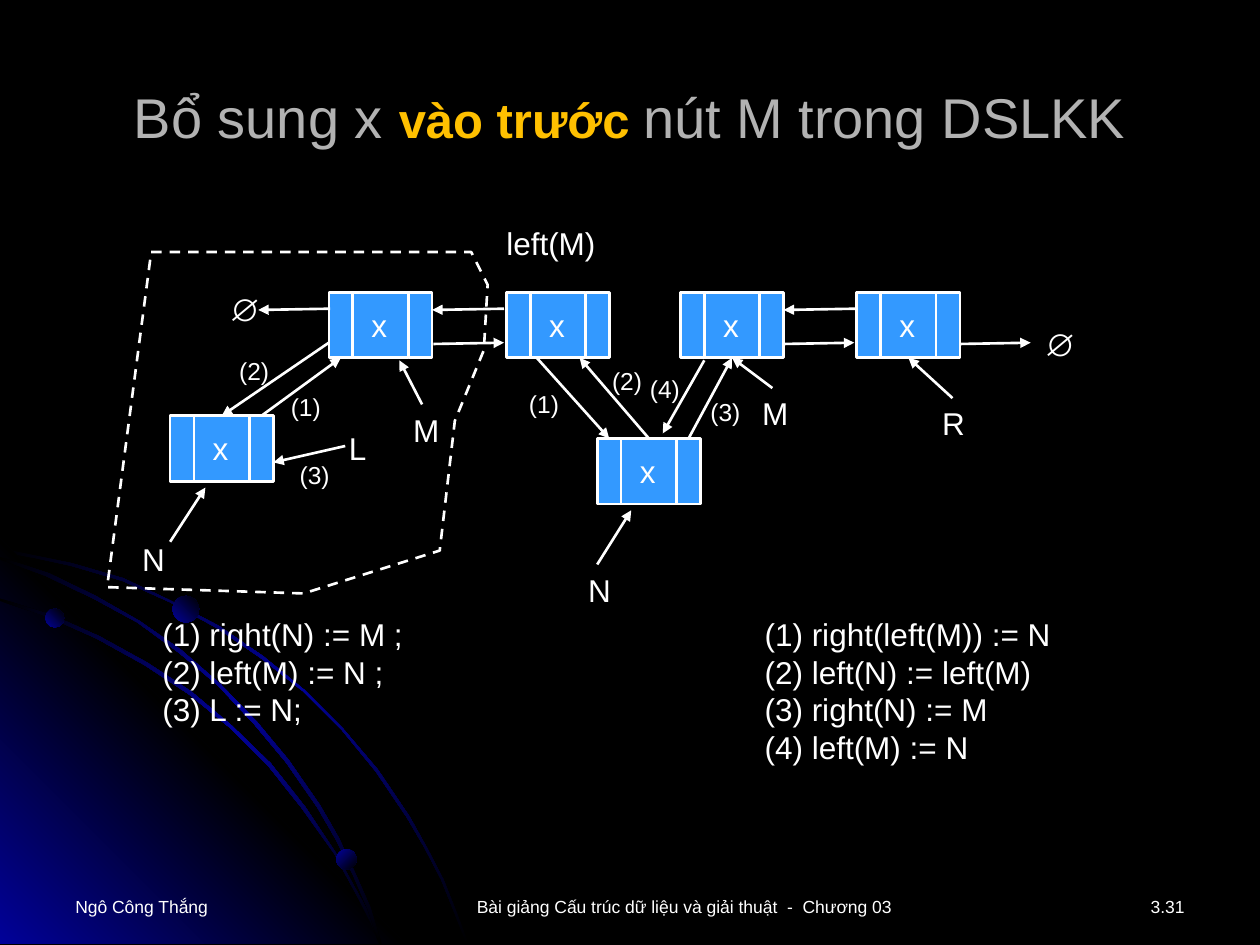
from typing import NamedTuple, Union

from lxml.etree import SubElement
from pptx import Presentation
from pptx.dml.color import RGBColor
from pptx.enum.dml import MSO_LINE
from pptx.enum.shapes import MSO_CONNECTOR, MSO_SHAPE
from pptx.enum.text import MSO_ANCHOR, PP_ALIGN
from pptx.oxml.ns import qn
from pptx.util import Inches, Pt

BLACK = RGBColor(0, 0, 0)
WHITE = RGBColor(0xFF, 0xFF, 0xFF)
NAVY = RGBColor(0x01, 0x01, 0x99)
BLUE = RGBColor(0x33, 0x99, 0xFF)
GRAY = RGBColor(0xB2, 0xB2, 0xB2)
GOLD = RGBColor(0xFF, 0xC0, 0x00)
LINE_WIDTH = Pt(1.5)
CELL_WIDTHS = (0.19, 0.44, 0.19)
NODE_HEIGHT = 0.52
LEFT, MIDDLE, RIGHT = range(3)
TOP_SIDE, BOTTOM_SIDE = 0, 2

Point = tuple[float, float]


class Run(NamedTuple):
    text: str
    size: float = 18
    color: RGBColor = WHITE
    bold: bool = False


class Joint(NamedTuple):
    """The middle of one side of a node's cell."""
    node: str
    cell: int
    side: int


class Arrow(NamedTuple):
    start: Union[Point, Joint]
    end: Union[Point, Joint]


class Label(NamedTuple):
    text: str
    left: float
    top: float
    width: float = 0.34
    height: float = 0.4
    size: float = 18
    align: PP_ALIGN = PP_ALIGN.LEFT


class Orb(NamedTuple):
    left: float
    top: float
    size: float
    angle: int


ARCS: list[list[Point]] = [
    [(0.57, 4.47), (0.28, 4.41), (0, 4.35), (0, 4.38), (0.28, 4.43), (0.56, 4.49),
     (0.97, 4.61), (1.35, 4.78), (1.73, 4.99), (2.08, 5.23), (2.41, 5.49), (2.71, 5.79),
     (2.98, 6.12), (3.23, 6.49), (3.37, 6.73), (3.5, 6.98), (3.6, 7.23), (3.7, 7.49),
     (3.72, 7.49), (3.62, 7.23), (3.52, 6.98), (3.39, 6.73), (3.25, 6.48), (3, 6.11),
     (2.72, 5.78), (2.42, 5.48), (2.09, 5.21), (1.74, 4.97), (1.36, 4.77), (0.98, 4.59)],
    [(2.85, 7.14), (2.94, 7.32), (3.01, 7.49), (3.03, 7.49), (2.96, 7.3), (2.86, 7.12),
     (2.66, 6.76), (2.42, 6.4), (2.15, 6.06), (1.84, 5.76), (1.52, 5.49), (1.17, 5.26),
     (0.79, 5.05), (0.41, 4.88), (0, 4.75), (0, 4.77), (0.39, 4.9), (0.77, 5.07),
     (1.15, 5.28), (1.5, 5.51), (1.83, 5.78), (2.13, 6.08), (2.4, 6.42), (2.65, 6.77)],
    [(0, 4.42), (0, 4.44), (0.36, 4.57), (0.74, 4.75), (1.09, 4.94), (1.42, 5.18),
     (1.73, 5.44), (2.02, 5.75), (2.27, 6.05), (2.52, 6.41), (2.67, 6.67), (2.8, 6.94),
     (2.92, 7.22), (3.01, 7.49), (3.03, 7.49), (2.94, 7.2), (2.82, 6.93), (2.69, 6.65),
     (2.54, 6.39), (2.29, 6.03), (2.04, 5.73), (1.75, 5.43), (1.44, 5.16), (1.11, 4.93),
     (0.76, 4.73), (0.39, 4.55)],
]
CORNER = [(3.22, 7.49), (0, 7.49), (0, 4.27)]
ORBS = [Orb(0.36, 4.83, 0.15, 315), Orb(2.67, 6.74, 0.16, 45), Orb(1.37, 4.73, 0.21, 315)]
HEAD_REGION = [(1.2, 2), (3.74, 2), (3.87, 2.26), (3.84, 2.78), (3.61, 3.34),
               (3.49, 4.37), (2.41, 4.71), (0.85, 4.66)]

NODES = {
    "first": (2.61, 2.32), "second": (4.02, 2.32), "third": (5.4, 2.32),
    "last": (6.8, 2.32), "new inner": (4.74, 3.48), "new head": (1.35, 3.3),
}
ARROWS = [
    *(Arrow((x, 2.73), (x + 0.56, 2.72)) for x in (3.44, 6.22, 7.62)),
    *(Arrow((x + 0.57, 2.45), (x, 2.46)) for x in (2.05, 3.43, 6.22)),
    Arrow((7.56, 3.16), Joint("last", MIDDLE, BOTTOM_SIDE)),
    Arrow((4.74, 4.48), (5.01, 4.05)),
    Arrow((6.13, 3.08), Joint("third", MIDDLE, BOTTOM_SIDE)),
    Arrow((4.26, 2.84), Joint("new inner", LEFT, TOP_SIDE)),
    Arrow(Joint("new inner", MIDDLE, TOP_SIDE), (4.6, 2.84)),
    Arrow(Joint("new inner", RIGHT, TOP_SIDE), Joint("third", MIDDLE, BOTTOM_SIDE)),
    Arrow((5.59, 2.86), (5.26, 3.44)),
    Arrow((1.35, 4.3), (1.63, 3.87)),
    Arrow((3.35, 3.21), (3.17, 2.86)),
    Arrow(Joint("new head", RIGHT, TOP_SIDE), Joint("first", LEFT, BOTTOM_SIDE)),
    Arrow((2.61, 2.72), Joint("new head", MIDDLE, TOP_SIDE)),
    Arrow((2.74, 3.54), (2.17, 3.67)),
]
STEPS = [("(1)", 4.1, 3.04), ("(2)", 4.76, 2.86), ("(3)", 5.54, 3.1), ("(4)", 5.06, 2.92),
         ("(1)", 2.21, 3.06), ("(2)", 1.8, 2.78), ("(3)", 2.28, 3.6)]
LABELS = [
    Label("∅", 1.72, 2.25), Label("∅", 8.19, 2.53), Label("L", 2.67, 3.36),
    Label("R", 7.38, 3.16), Label("N", 4.57, 4.48), Label("M", 5.95, 3.08),
    Label("N", 1.03, 4.24), Label("M", 3.18, 3.21), Label("left(M)", 3.92, 1.73, 1.06),
    *(Label(text, left, top, 0.5, 0.34, 14) for text, left, top in STEPS),
    Label("(1) right(left(M)) := N\n(2) left(N) := left(M)\n(3) right(N) := M\n"
          "(4) left(M) := N", 5.97, 4.83, 2.83, 1.3),
    Label("(1) right(N) := M ;\n(2) left(M) := N ;\n(3) L := N;", 1.19, 4.83, 2.83, 1),
    Label("Ngô Công Thắng", 0.5, 7.06, 2.33, 0.3, 10),
    Label("Bài giảng Cấu trúc dữ liệu và giải thuật  -  Chương 03",
          2.96, 7.06, 4.94, 0.3, 10, PP_ALIGN.CENTER),
    Label("3.31", 8.04, 7.06, 1.46, 0.3, 10, PP_ALIGN.RIGHT),
]
TITLE = [Run("Bổ sung x ", 32, GRAY), Run("vào trước ", 28, GOLD, True),
         Run("nút M trong DSLKK", 32, GRAY)]


def add_text(slide, box: tuple, runs: list[Run], align=PP_ALIGN.LEFT, anchor=MSO_ANCHOR.TOP):
    frame = slide.shapes.add_textbox(*map(Inches, box)).text_frame
    frame.word_wrap = True
    frame.vertical_anchor = anchor
    paragraph = frame.paragraphs[0]
    paragraph.alignment = align
    for item in runs:
        for number, line in enumerate(item.text.split("\n")):
            if number:
                paragraph.add_line_break()
            run = paragraph.add_run()
            run.text = line
            run.font.name = "Arial"
            run.font.size = Pt(item.size)
            run.font.bold = item.bold
            run.font.color.rgb = item.color


def add_outline(slide, points: list[Point]):
    start, *rest = [(Inches(x), Inches(y)) for x, y in points]
    builder = slide.shapes.build_freeform(*start)
    builder.add_line_segments(rest, close=True)
    shape = builder.convert_to_shape()
    shape.shadow.inherit = False
    return shape


def fill_gradient(shape, colors: list[RGBColor], angle: int) -> None:
    """Fill with evenly spaced stops, the angle running clockwise, and no line."""
    shape.line.fill.background()
    shape.fill.gradient()
    gradient = shape._element.spPr.find(qn("a:gradFill"))
    gradient.find(qn("a:lin")).set("ang", str(angle * 60000))
    stops = gradient.find(qn("a:gsLst"))
    stops.clear()
    for number, color in enumerate(colors):
        position = 100000 * number // (len(colors) - 1)
        stop = SubElement(stops, qn("a:gs"), pos=str(position))
        SubElement(stop, qn("a:srgbClr"), val=str(color))


def add_backdrop(slide) -> None:
    slide.background.fill.solid()
    slide.background.fill.fore_color.rgb = BLACK
    for number, points in enumerate(ARCS):
        fill_gradient(add_outline(slide, points), [BLACK, NAVY, BLACK], 45)
        if number == 0:
            fill_gradient(add_outline(slide, CORNER), [NAVY, BLACK, NAVY], 315)
    for orb in ORBS:
        box = map(Inches, (orb.left, orb.top, orb.size, orb.size))
        shape = slide.shapes.add_shape(MSO_SHAPE.OVAL, *box)
        shape.shadow.inherit = False
        fill_gradient(shape, [NAVY, BLACK], orb.angle)


def add_node(slide, left: float, top: float) -> list:
    """Draw a list node and return its three cells."""
    cells = []
    for number, width in enumerate(CELL_WIDTHS):
        box = (left + sum(CELL_WIDTHS[:number]), top, width, NODE_HEIGHT)
        cell = slide.shapes.add_shape(MSO_SHAPE.RECTANGLE, *map(Inches, box))
        cell.shadow.inherit = False
        cell.fill.solid()
        cell.fill.fore_color.rgb = BLUE
        cell.line.color.rgb = WHITE
        cell.line.width = LINE_WIDTH
        cells.append(cell)
    add_text(slide, (left + 0.24, top + 0.06, 0.34, 0.4), [Run("x")])
    return cells


def add_arrow(slide, arrow: Arrow, nodes: dict[str, list]) -> None:
    connector = slide.shapes.add_connector(MSO_CONNECTOR.STRAIGHT, 0, 0, 0, 0)
    if isinstance(arrow.start, Joint):
        connector.begin_connect(nodes[arrow.start.node][arrow.start.cell], arrow.start.side)
    else:
        connector.begin_x, connector.begin_y = map(Inches, arrow.start)
    if isinstance(arrow.end, Joint):
        connector.end_connect(nodes[arrow.end.node][arrow.end.cell], arrow.end.side)
    else:
        connector.end_x, connector.end_y = map(Inches, arrow.end)
    connector.line.color.rgb = WHITE
    connector.line.width = LINE_WIDTH
    SubElement(connector.line._get_or_add_ln(), qn("a:tailEnd"), type="triangle")
    SubElement(connector._element.spPr, qn("a:effectLst"))


def main() -> None:
    presentation = Presentation()
    presentation.slide_width, presentation.slide_height = Inches(10), Inches(7.5)
    slide = presentation.slides.add_slide(presentation.slide_layouts[6])
    add_backdrop(slide)
    add_text(slide, (0.5, 0.3, 9, 1.25), TITLE, PP_ALIGN.CENTER, MSO_ANCHOR.MIDDLE)
    nodes = {name: add_node(slide, *corner) for name, corner in NODES.items()}
    for arrow in ARROWS:
        add_arrow(slide, arrow, nodes)
    for label in LABELS:
        box = (label.left, label.top, label.width, label.height)
        add_text(slide, box, [Run(label.text, label.size)], label.align)
    region = add_outline(slide, HEAD_REGION)
    region.fill.background()
    region.line.color.rgb = WHITE
    region.line.width = LINE_WIDTH
    region.line.dash_style = MSO_LINE.DASH
    presentation.save("out.pptx")


if __name__ == "__main__":
    main()
